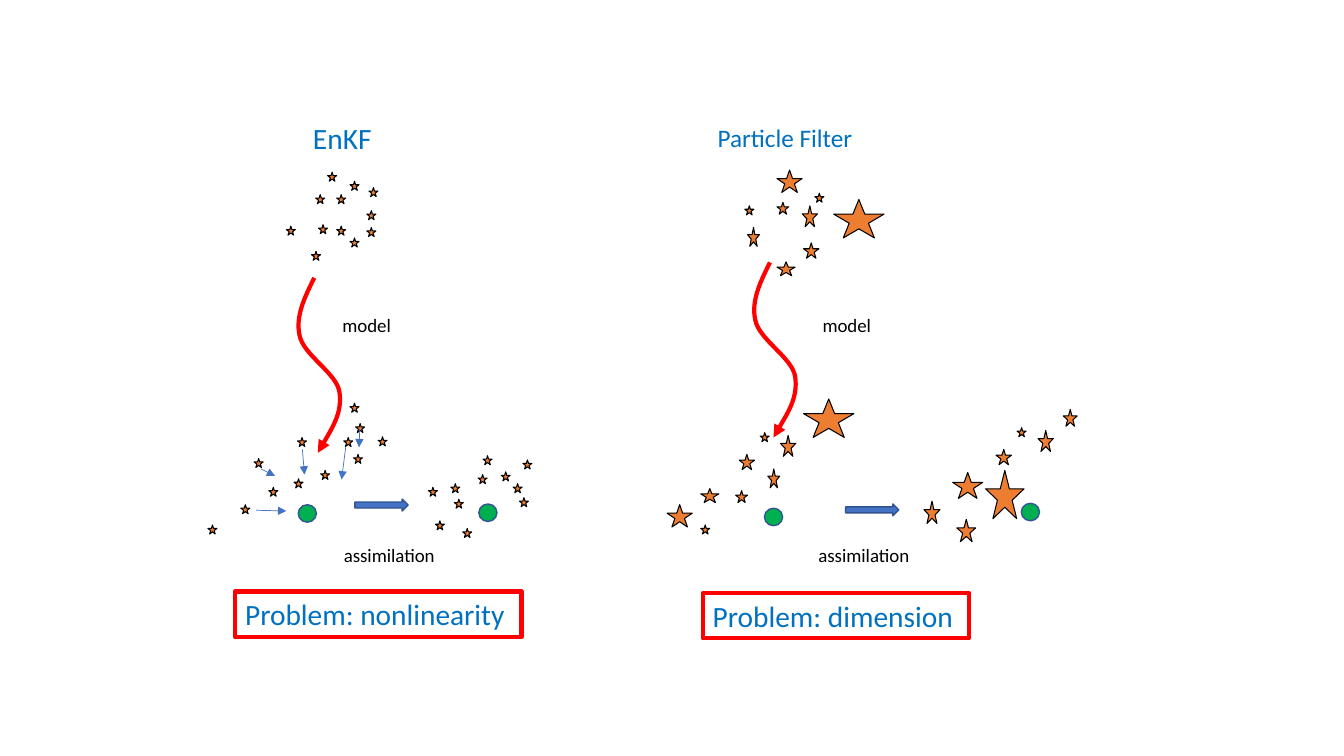
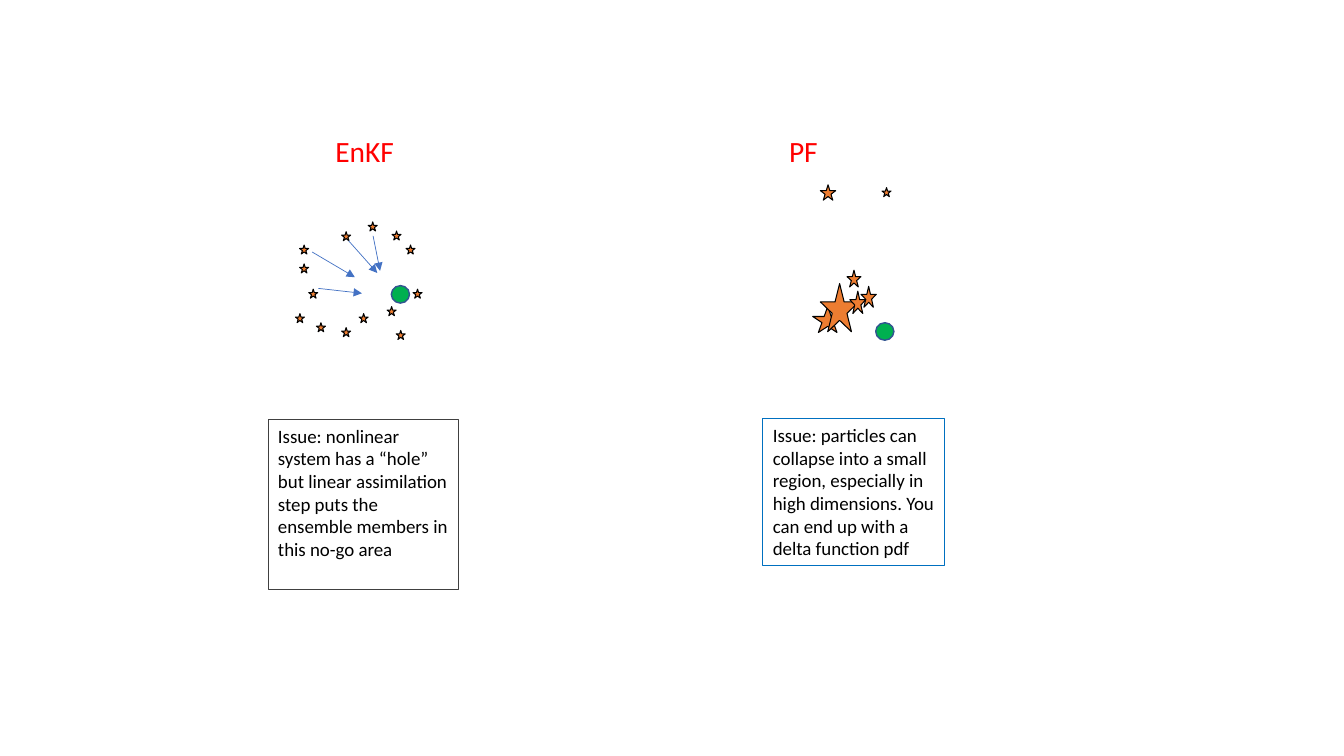
from lxml import etree
from pptx import Presentation
from pptx.dml.color import RGBColor
from pptx.enum.shapes import MSO_CONNECTOR, MSO_SHAPE
from pptx.enum.text import MSO_ANCHOR, PP_ALIGN
from pptx.oxml.ns import qn
from pptx.util import Pt

STAR, OVAL = MSO_SHAPE.STAR_5_POINT, MSO_SHAPE.OVAL
RIGHT_ARROW, RECT = MSO_SHAPE.RIGHT_ARROW, MSO_SHAPE.RECTANGLE
STRAIGHT = MSO_CONNECTOR.STRAIGHT
TOP, LEFT = MSO_ANCHOR.TOP, PP_ALIGN.LEFT

BLACK = RGBColor(0x00, 0x00, 0x00)
GREY = RGBColor(0x40, 0x40, 0x40)
RED = RGBColor(0xFF, 0x00, 0x00)
ORANGE = RGBColor(0xED, 0x7D, 0x31)
GREEN = RGBColor(0x00, 0xB0, 0x50)
BLUE = RGBColor(0x44, 0x72, 0xC4)
DARK_BLUE = RGBColor(0x32, 0x54, 0x91)
TEXT_BLUE = RGBColor(0x00, 0x70, 0xC0)

FONT = "Calibri"
HEADING, BODY = 21, 13.5
MEMBER = 6.5  # side of an unweighted ensemble member

# Start, then three Bézier segments, relative to the start
MODEL_CURVE = [(0, 0), (-7, 14), (-13.5, 27.5), (-10.5, 41),
               (-8, 55), (16, 68), (18, 81.5),
               (20, 96), (11, 110.5), (2.5, 125)]

# Members: left, top. Particles: left, top and, if weighted, width, height.
PRIOR_MEMBERS = [
    (225.5, 139), (234, 123), (263.5, 134), (204.5, 161.5), (222.5, 179.5),
    (240.5, 161.5), (250, 129.5), (240.5, 139), (250, 170), (262, 162.5),
    (227.5, 160.5), (262, 150.5)]
FORECAST_MEMBERS = [
    (181.5, 327.5), (172, 360.5), (148.5, 375), (210, 342), (252.5, 324.5),
    (245.5, 312.5), (254, 302.5), (212.5, 312.5), (192, 348), (229, 336),
    (270, 312), (250, 288)]
ANALYSIS_MEMBERS = [
    (358, 337), (341.5, 339), (322, 345.5), (306, 348), (324.5, 356.5),
    (366.5, 345.5), (371, 355.5), (373.5, 328.5), (345, 325.5),
    (330.5, 377.5), (311, 372)]
PRIOR_PARTICLES = [
    (555, 144.5, 8.5, 8.5), (555, 121.5, 18, 16), (595.5, 142.5, 36, 27.5),
    (534, 162.5, 8.5, 13.5), (532, 147), (555, 187, 13, 10),
    (574, 173.5, 11, 11), (582, 138), (573, 147, 11, 15)]
FORECAST_PARTICLES = [
    (574, 285, 36, 27.5), (528, 324.5, 11, 11), (500.5, 349, 13, 10),
    (557.5, 311, 11, 15), (525.5, 350.5, 8.5, 8.5), (500.5, 375),
    (548.5, 335, 8.5, 13.5), (476.5, 360.5, 18, 16), (543, 309)]
ANALYSIS_PARTICLES = [
    (759.5, 292.5, 10, 12), (711.5, 321, 11, 11), (680.5, 337.5, 21.5, 18.5),
    (741.5, 307.5, 11, 15), (704, 336, 27.5, 34.5), (683.5, 371, 13.5, 16),
    (660, 358, 11.5, 16), (726.5, 305.5)]
RING_MEMBERS = [
    (290, 175), (280, 165), (244, 165.5), (214, 175), (214, 188.5),
    (211, 224), (283, 236), (220.5, 206.5), (244, 234), (263, 158.5),
    (295, 206.5), (256.5, 224), (226, 230.5), (276.5, 219)]
COLLAPSED_PARTICLES = [
    (605, 193, 10, 12), (586, 132, 11, 11), (580.5, 219, 21.5, 18.5),
    (615, 204.5, 11, 15), (586, 202.5, 27.5, 34.5), (607, 208, 11.5, 16),
    (630, 134)]

# Pull towards the observation: from x, y to x, y
FORECAST_PULLS = [
    (247, 319, 244, 342.5), (257, 306, 256.5, 319.5), (186.5, 335, 196.5, 340),
    (216, 321, 217.5, 339), (183, 364.5, 204.5, 365)]
RING_PULLS = [
    (249, 172, 269.5, 195), (223, 180, 253.5, 198),
    (266.5, 168.5, 271.5, 193.5), (227.5, 206, 258.5, 209.5)]


class Deck:
    def __init__(self):
        self.prs = Presentation()
        self.prs.slide_width, self.prs.slide_height = Pt(960), Pt(540)
        self.slide = None

    def new_slide(self):
        self.slide = self.prs.slides.add_slide(self.prs.slide_layouts[6])

    def shape(self, kind, box, fill, line, weight):
        sp = self.slide.shapes.add_shape(kind, *map(Pt, box))
        sp.shadow.inherit = False
        if fill is None:
            sp.fill.background()
        else:
            sp.fill.solid()
            sp.fill.fore_color.rgb = fill
        sp.line.color.rgb = line
        sp.line.width = Pt(weight)
        return sp

    def stars(self, places):
        for x, y, *size in places:
            w, h = size or (MEMBER, MEMBER)
            self.shape(STAR, (x, y, w, h), ORANGE, BLACK, 0.75)

    def observation(self, x, y):
        self.shape(OVAL, (x, y, 13, 12.5), GREEN, DARK_BLUE, 1)

    def step_arrow(self, x, y):
        self.shape(RIGHT_ARROW, (x, y, 38, 8.5), BLUE, DARK_BLUE, 1)

    def set_text(self, sp, text, size, color):
        tf = sp.text_frame
        tf.word_wrap = True
        tf.vertical_anchor = TOP
        p = tf.paragraphs[0]
        p.text = text
        p.alignment = LEFT
        font = p.runs[0].font
        font.name, font.size, font.color.rgb = FONT, Pt(size), color

    def label(self, text, box, size=BODY, color=BLACK):
        sp = self.slide.shapes.add_textbox(*map(Pt, box))
        self.set_text(sp, text, size, color)

    def framed_text(self, text, box, line, weight, size=BODY, color=BLACK):
        sp = self.shape(RECT, box, None, line, weight)
        self.set_text(sp, text, size, color)

    def arrow_line(self, sp, color, weight):
        """Style the line and end it with a triangle."""
        sp.line.color.rgb = color
        sp.line.width = Pt(weight)
        ln = sp._element.spPr.find(qn("a:ln"))
        etree.SubElement(ln, qn("a:tailEnd"), type="triangle")

    def pulls(self, ends):
        for end in ends:
            sp = self.slide.shapes.add_connector(STRAIGHT, *map(Pt, end))
            self.arrow_line(sp, BLUE, 0.5)
            etree.SubElement(sp._element.spPr, qn("a:effectLst"))

    def model_curve(self, x, y):
        start, *rest = [(Pt(x + dx), Pt(y + dy)) for dx, dy in MODEL_CURVE]
        builder = self.slide.shapes.build_freeform(*start)
        builder.add_line_segments(rest, close=False)
        sp = builder.convert_to_shape()
        sp.shadow.inherit = False
        sp.fill.background()
        self.arrow_line(sp, RED, 3)
        # Turn every three line points into one Bézier segment
        path = next(sp._element.iter(qn("a:path")))
        points = path.findall(qn("a:lnTo"))
        for i in range(0, len(points), 3):
            curve = etree.SubElement(path, qn("a:cubicBezTo"))
            for point in points[i:i + 3]:
                curve.append(point[0])
                path.remove(point)


def filter_comparison(deck):
    deck.new_slide()
    deck.stars(PRIOR_MEMBERS + PRIOR_PARTICLES)
    deck.model_curve(224.5, 198.5)
    deck.model_curve(550, 187.5)
    deck.stars(FORECAST_MEMBERS + FORECAST_PARTICLES)
    deck.label("EnKF", (216.5, 82, 119.5, 32.5), HEADING, TEXT_BLUE)
    deck.label("Particle Filter", (505.5, 84, 153.5, 29), 18, TEXT_BLUE)
    deck.pulls(FORECAST_PULLS)
    deck.stars(ANALYSIS_PARTICLES + ANALYSIS_MEMBERS)
    for x, y in [(213, 360.5), (546, 363), (729.5, 359.5), (342, 360)]:
        deck.observation(x, y)
    for x in (237.5, 580.5):
        deck.label("model", (x, 220.5, 100, 24))
    deck.step_arrow(253.5, 356.5)
    deck.step_arrow(604, 360)
    for x in (238.5, 577.5):
        deck.label("assimilation", (x, 385, 94.5, 24))
    for problem, box in [("nonlinearity", (168, 422.5, 204.5, 32.5)),
                         ("dimension", (502, 423.5, 190, 32.5))]:
        deck.framed_text(f"Problem: {problem}", box, RED, 3, HEADING, TEXT_BLUE)


def filter_issues(deck):
    deck.new_slide()
    deck.stars(RING_MEMBERS)
    deck.label("EnKF", (232.5, 91.5, 121.5, 32.5), HEADING, RED)
    deck.label("PF", (556.5, 91.5, 139.5, 32.5), HEADING, RED)
    deck.observation(279.5, 204)
    deck.pulls(RING_PULLS)
    deck.stars(COLLAPSED_PARTICLES)
    deck.observation(625.5, 230.5)
    deck.framed_text(
        "Issue: nonlinear system has a “hole” but linear assimilation step "
        "puts the ensemble members in this no-go area",
        (191.5, 299.5, 136, 121.5), GREY, 0.75)
    deck.framed_text(
        "Issue: particles can collapse into a small region, especially in "
        "high dimensions. You can end up with a delta function pdf",
        (545, 299, 129.5, 105), TEXT_BLUE, 0.75)


def main():
    deck = Deck()
    filter_comparison(deck)
    filter_issues(deck)
    deck.prs.save("out.pptx")


if __name__ == "__main__":
    main()
